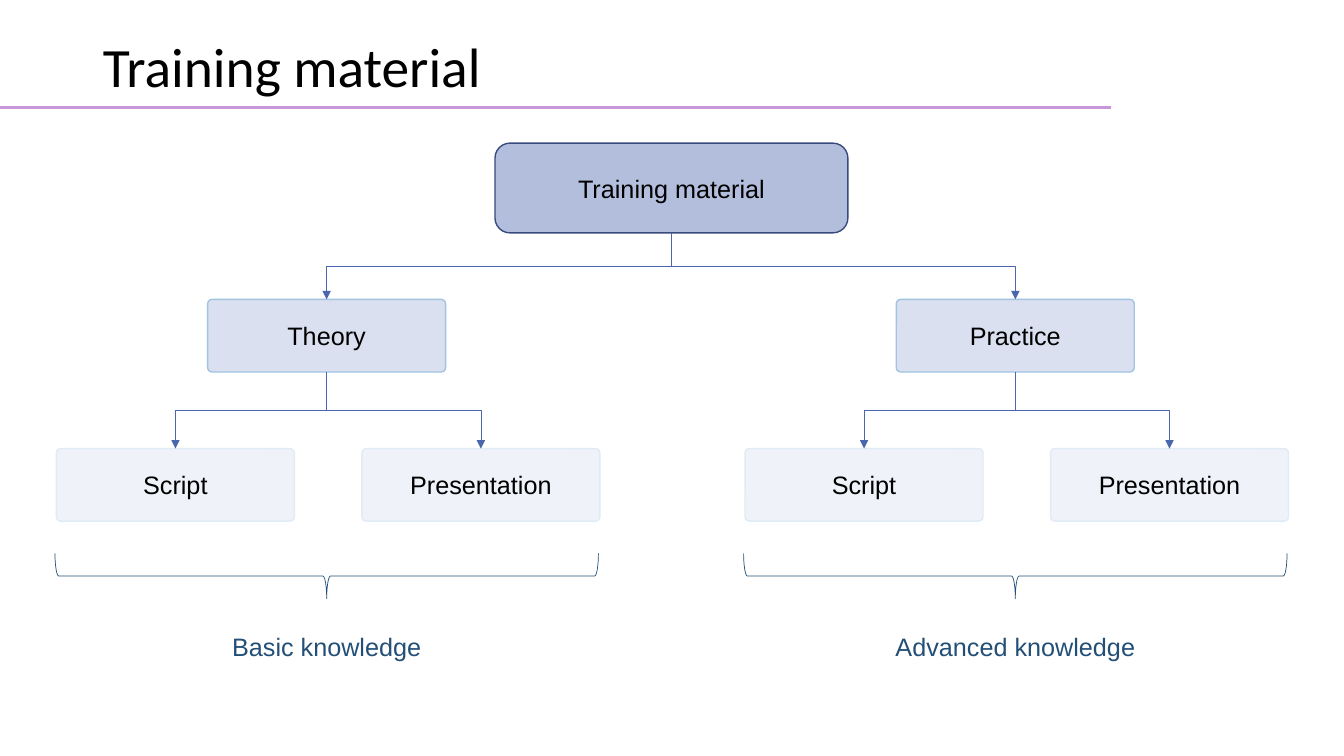
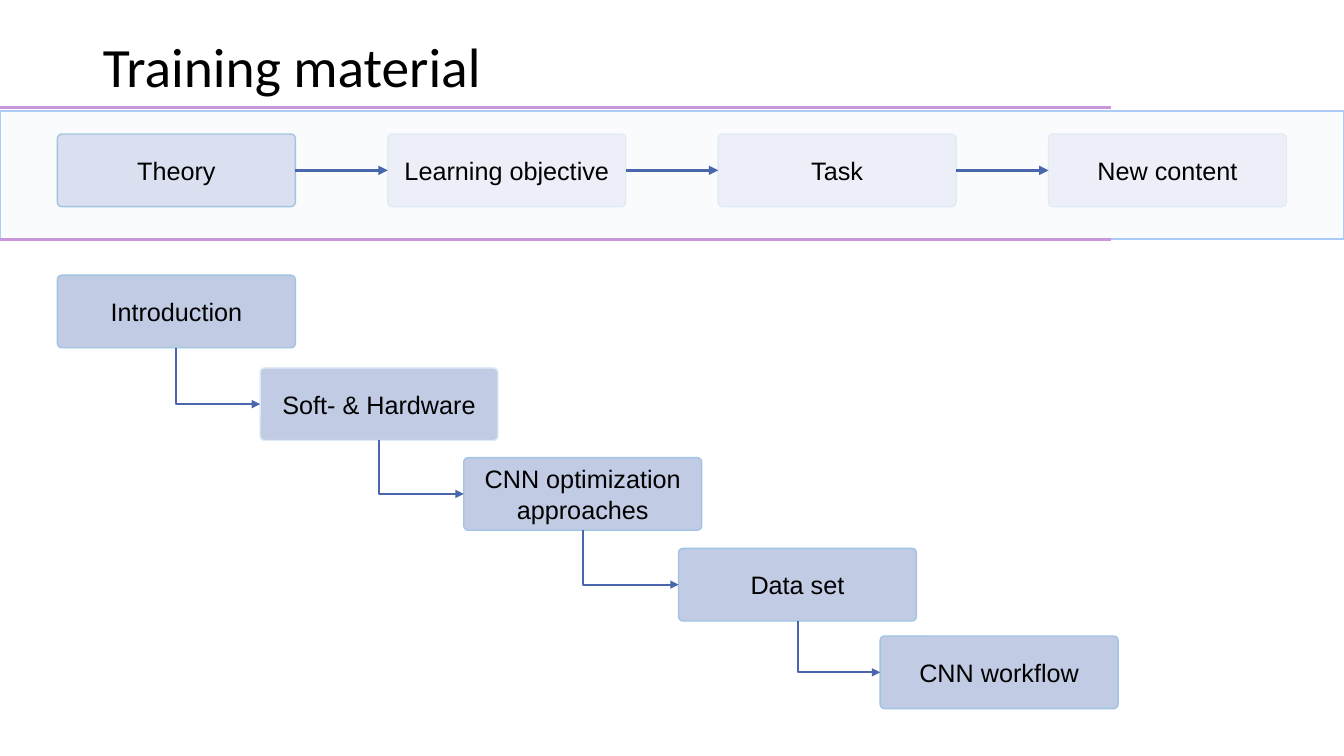
from lxml import etree
from pptx import Presentation, util as u
from pptx.dml.color import RGBColor
from pptx.enum import shapes, text
from pptx.oxml.ns import qn

WIDE, HIGH = 13.33, 7.5
BOX_W, BOX_H = 2.36, 0.72
RULE_W = 11.02
MARGIN = 0.57

BLACK = RGBColor(0x00, 0x00, 0x00)
BLUE = RGBColor(0x4A, 0x66, 0xAC)
NAVY = RGBColor(0x37, 0x4B, 0x7F)
TEAL = RGBColor(0x23, 0x4F, 0x77)
PALE = RGBColor(0xDA, 0xE0, 0xEF)
STEEL = RGBColor(0xB5, 0xC1, 0xDF)
HAZE = RGBColor(0x90, 0xA2, 0xCF)
SKY = RGBColor(0xA1, 0xC4, 0xE3)
ICE = RGBColor(0xE0, 0xEB, 0xF6)
EDGE = RGBColor(0xAC, 0xCB, 0xF9)
PURPLE = RGBColor(0xC8, 0x96, 0xDB)

# Box styles: fill, opacity in percent, outline
ROOT = (BLUE, 42, NAVY)
MAIN = (PALE, 100, SKY)
PART = (PALE, 41, ICE)
STEP = (STEEL, 83, SKY)
STEP_SOFT = (STEEL, 83, ICE)
BAND = (HAZE, 4, EDGE)

FORM = shapes.MSO_SHAPE
LINK = shapes.MSO_CONNECTOR
TOP, LEFT, BOTTOM, RIGHT = range(4)


def inches(*vals):
    return [u.Inches(v) for v in vals]


def write(shape, words, size=18, face="Arial", color=BLACK,
          align=text.PP_ALIGN.CENTER, anchor=text.MSO_ANCHOR.MIDDLE, space=None):
    frame = shape.text_frame
    frame.word_wrap = True
    frame.auto_size = text.MSO_AUTO_SIZE.NONE
    frame.vertical_anchor = anchor
    para = frame.paragraphs[0]
    para.alignment = align
    para.line_spacing = space
    run = para.add_run()
    run.text = words
    run.font.size, run.font.name = u.Pt(size), face
    run.font.color.rgb = color


def form(slide, kind, area, style, words=None):
    """Add a preset shape; style is (fill, opacity, outline)."""
    fill, alpha, edge = style
    shape = slide.shapes.add_shape(kind, *inches(*area))
    shape.shadow.inherit = False
    shape.fill.solid()
    shape.fill.fore_color.rgb = fill
    if alpha < 100:
        tint = shape.element.spPr.find(".//" + qn("a:srgbClr"))
        etree.SubElement(tint, qn("a:alpha"), val=str(alpha * 1000))
    shape.line.color.rgb = edge
    shape.line.width = u.Pt(1)
    if words:
        write(shape, words)
    return shape


def box(slide, words, left, top, style):
    shape = form(slide, FORM.ROUNDED_RECTANGLE, (left, top, BOX_W, BOX_H), style, words)
    shape.adjustments[0] = 0.06
    return shape


def line(slide, ends, color, width, kind=LINK.STRAIGHT, head=False):
    link = slide.shapes.add_connector(kind, *ends)
    link.line.color.rgb = color
    link.line.width = u.Pt(width)
    if head:
        etree.SubElement(link.line._get_or_add_ln(), qn("a:tailEnd"), type="triangle")
    etree.SubElement(link.element.spPr, qn("a:effectLst"))
    return link


def rule(slide, top, width):
    return line(slide, inches(0, top, RULE_W, top), PURPLE, width)


def arrow(slide, start, end):
    link = line(slide, (0, 0, 0, 0), BLUE, 2.25, head=True)
    link.begin_connect(start, RIGHT)
    link.end_connect(end, LEFT)


def elbow(slide, start, end, side, width):
    """Run down from start, then bend to the top or left side of end."""
    link = line(slide, (0, 0, 0, 0), BLUE, width, LINK.ELBOW, True)
    link.begin_connect(start, BOTTOM)
    link.end_connect(end, side)
    x, y = link.begin_x, link.begin_y
    dx, dy = link.end_x - x, link.end_y - y
    # The frame lies on its side, so its width is the drop
    link.width, link.height = abs(dy), abs(dx)
    link.left = x + (dx - abs(dy)) // 2
    link.top = y + (dy - abs(dx)) // 2
    frame = link.element.spPr.find(qn("a:xfrm"))
    frame.flipV = False
    frame.flipH = dx > 0
    frame.rot = 270 if dx > 0 else 90
    if side == LEFT:
        link.element.spPr.find(qn("a:prstGeom")).set("prst", "bentConnector2")


def brace(slide, mid, top, span, depth):
    area = (mid - depth / 2, top + (depth - span) / 2, depth, span)
    shape = slide.shapes.add_shape(FORM.RIGHT_BRACE, *inches(*area))
    shape.rotation = 90
    shape.shadow.inherit = False
    shape.fill.background()
    shape.line.color.rgb = TEAL
    shape.line.width = u.Pt(0.5)


def label(slide, words, mid, top):
    wide = 4.07
    note = slide.shapes.add_textbox(*inches(mid - wide / 2, top, wide, 0.4))
    write(note, words, color=TEAL, anchor=text.MSO_ANCHOR.TOP)


def page(deck, layout, title):
    slide = deck.slides.add_slide(layout)
    write(slide.shapes.title, title, size=39.6, face="Calibri",
          align=text.PP_ALIGN.LEFT, space=0.9)
    return slide


def dress(layout, slide):
    """Set the title's place and the rule that all slides share."""
    head = layout.placeholders[0]
    head.left, head.top, head.width, head.height = inches(0.92, 0.33, 11.5, 0.72)
    layout.element.cSld.spTree.append(rule(slide, 1.07, 2).element)


def tree(slide):
    root = form(slide, FORM.ROUNDED_RECTANGLE, (4.91, 1.42, 3.5, 0.89),
                ROOT, "Training material")
    halves = (("Theory", "Basic knowledge"), ("Practice", "Advanced knowledge"))
    for col, (topic, level) in enumerate(halves):
        mid = 3.24 + 6.83 * col
        left = mid - BOX_W / 2
        main_box = box(slide, topic, left, 2.97, MAIN)
        elbow(slide, root, main_box, TOP, 0.5)
        for words, shift in (("Script", -1.5), ("Presentation", 1.53)):
            part = box(slide, words, left + shift, 4.45, PART)
            elbow(slide, main_box, part, TOP, 0.5)
        brace(slide, mid, 5.49, 5.39, 0.45)
        label(slide, level, mid, 6.21)


def flow(slide):
    form(slide, FORM.RECTANGLE, (0, 1.1, WIDE, 1.27), BAND)
    rule(slide, 2.38, 2.25)
    names = ("Theory", "Learning objective", "Task", "New content")
    gap = (WIDE - 2 * MARGIN - BOX_W) / (len(names) - 1)
    row = [box(slide, words, MARGIN + gap * col, 1.33, PART if col else MAIN)
           for col, words in enumerate(names)]
    for start, end in zip(row, row[1:]):
        arrow(slide, start, end)


def stairs(slide):
    steps = (("Introduction", MARGIN, 2.73, STEP),
             ("Soft- & Hardware", 2.58, 3.65, STEP_SOFT),
             ("CNN optimization approaches", 4.6, 4.54, STEP),
             ("Data set", 6.73, 5.44, STEP),
             ("CNN workflow", 8.73, 6.31, STEP))
    row = [box(slide, *step) for step in steps]
    for start, end in zip(row, row[1:]):
        elbow(slide, start, end, LEFT, 1.5)


def main():
    deck = Presentation()
    deck.slide_width, deck.slide_height = inches(WIDE, HIGH)
    layout = deck.slide_layouts[5]
    first, second = (page(deck, layout, "Training material") for _ in range(2))
    dress(layout, first)
    tree(first)
    flow(second)
    stairs(second)
    deck.save("out.pptx")


if __name__ == "__main__":
    main()
